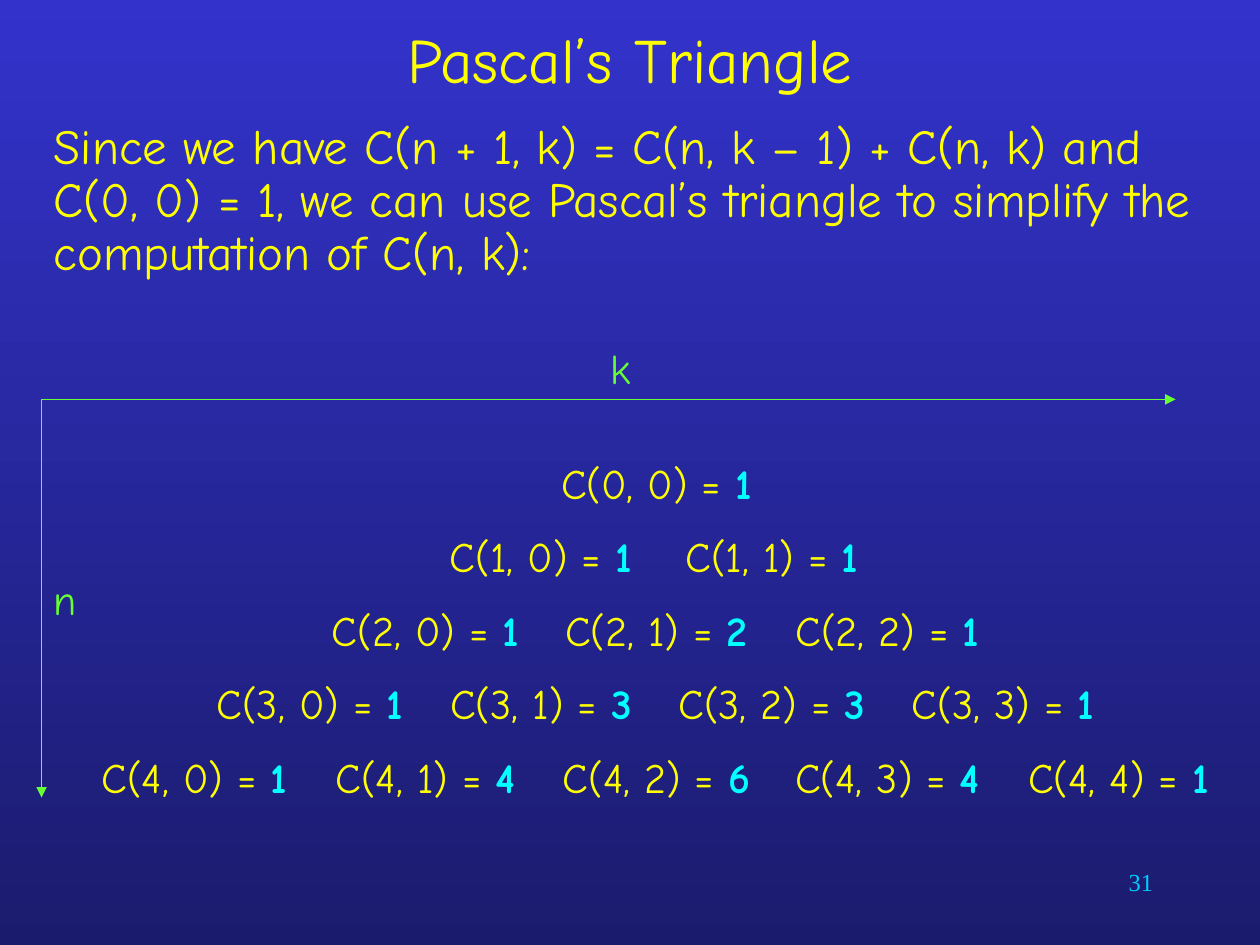
from math import comb

from lxml import etree
from pptx import Presentation
from pptx import util as u
from pptx.dml.color import RGBColor
from pptx.enum import shapes, text
from pptx.oxml.ns import qn

YELLOW = RGBColor(0xFF, 0xFF, 0x00)
CYAN = RGBColor(0x00, 0xFF, 0xFF)
GREEN = RGBColor(0x66, 0xFF, 0x33)
SKY = RGBColor(0x00, 0xCC, 0xFF)
BLUE = RGBColor(0x33, 0x33, 0xCC)
NAVY = RGBColor(0x1B, 0x1B, 0x6E)

LEFT, CENTER, RIGHT = text.PP_ALIGN.LEFT, text.PP_ALIGN.CENTER, text.PP_ALIGN.RIGHT
LABEL = {"space_before": u.Pt(15)}
GROW = {"auto_size": text.MSO_AUTO_SIZE.SHAPE_TO_FIT_TEXT}


def apply(target, values):
    for name, value in values.items():
        setattr(target, name, value)


class SlideWriter:
    """Holds the text style and the current slide."""

    font = "Comic Neue"

    def __init__(self, page):
        self.page = page

    def background(self, top, bottom):
        fill = self.page.background.fill
        fill.gradient()
        fill.gradient_angle = 270
        for stop, color, position in zip(fill.gradient_stops, (top, bottom), (0, 1)):
            apply(stop, {"position": position})
            stop.color.rgb = color

    def text(self, area, spans, size, align=LEFT, para_format=None,
             frame_format=None, font=None):
        """Spans are (wording, colour, bold); a newline becomes a line break."""
        box = self.page.shapes.add_textbox(*map(u.Inches, area))
        frame = box.text_frame
        apply(frame, {"word_wrap": True, **(frame_format or {})})
        para = frame.paragraphs[0]
        apply(para, {"alignment": align, **(para_format or {})})
        for wording, color, bold in spans:
            for number, line in enumerate(wording.splitlines()):
                if number:
                    para.add_line_break()
                span = para.add_run()
                span.text = line
                apply(span.font, {"name": font or self.font, "size": u.Pt(size),
                                  "bold": bold})
                span.font.color.rgb = color

    def arrow(self, start, end, color):
        line = self.page.shapes.add_connector(
            shapes.MSO_CONNECTOR.STRAIGHT, *map(u.Inches, (*start, *end)))
        line.line.width = u.Pt(0.75)
        line.line.color.rgb = color
        etree.SubElement(line.line._get_or_add_ln(), qn("a:tailEnd"), type="triangle")
        etree.SubElement(line._element.spPr, qn("a:effectLst"))


def main():
    deck = Presentation()
    apply(deck, {"slide_width": u.Inches(10), "slide_height": u.Inches(7.5)})
    writer = SlideWriter(deck.slides.add_slide(deck.slide_layouts[6]))
    writer.background(BLUE, NAVY)

    # Title and introduction
    writer.text((0.75, 0.17, 8.5, 0.58), [("Pascal’s Triangle", YELLOW, False)], 36,
                CENTER, frame_format={"vertical_anchor": text.MSO_ANCHOR.MIDDLE})
    intro = ("Since we have C(n + 1, k) = C(n, k – 1) + C(n, k) and\n"
             "C(0, 0) = 1, we can use Pascal’s triangle to simplify the "
             "computation of C(n, k):")
    writer.text((0.33, 0.92, 9.33, 1.5), [(intro, YELLOW, False)], 28,
                para_format={"line_spacing": 0.9, "space_before": u.Pt(7),
                             "space_after": u.Pt(3.5)})

    # Triangle: each row starts half a column further left
    column, row_step = 5.5 / 3, 1.75 / 3
    for n in range(5):
        for k in range(n + 1):
            area = (4.17 + (k - n / 2) * column, 3.58 + n * row_step, 2.08, 0.5)
            spans = [(f"C({n}, {k}) = ", YELLOW, False), (str(comb(n, k)), CYAN, True)]
            writer.text(area, spans, 24, CENTER, LABEL, GROW)

    # Axes and their names
    corner = (0.33, 3.17)
    for end in ((0.33, 6.33), (9.33, 3.17)):
        writer.arrow(corner, end, GREEN)
    for name, left, top in (("k", 4.75, 2.67), ("n", 0.33, 4.5)):
        writer.text((left, top, 0.75, 0.5), [(name, GREEN, False)], 24,
                    para_format=LABEL, frame_format=GROW)

    # Slide number
    writer.text((7.17, 6.83, 2.08, 0.5), [("31", SKY, False)], 14, RIGHT,
                font="Times New Roman")

    deck.save("out.pptx")


if __name__ == "__main__":
    main()
